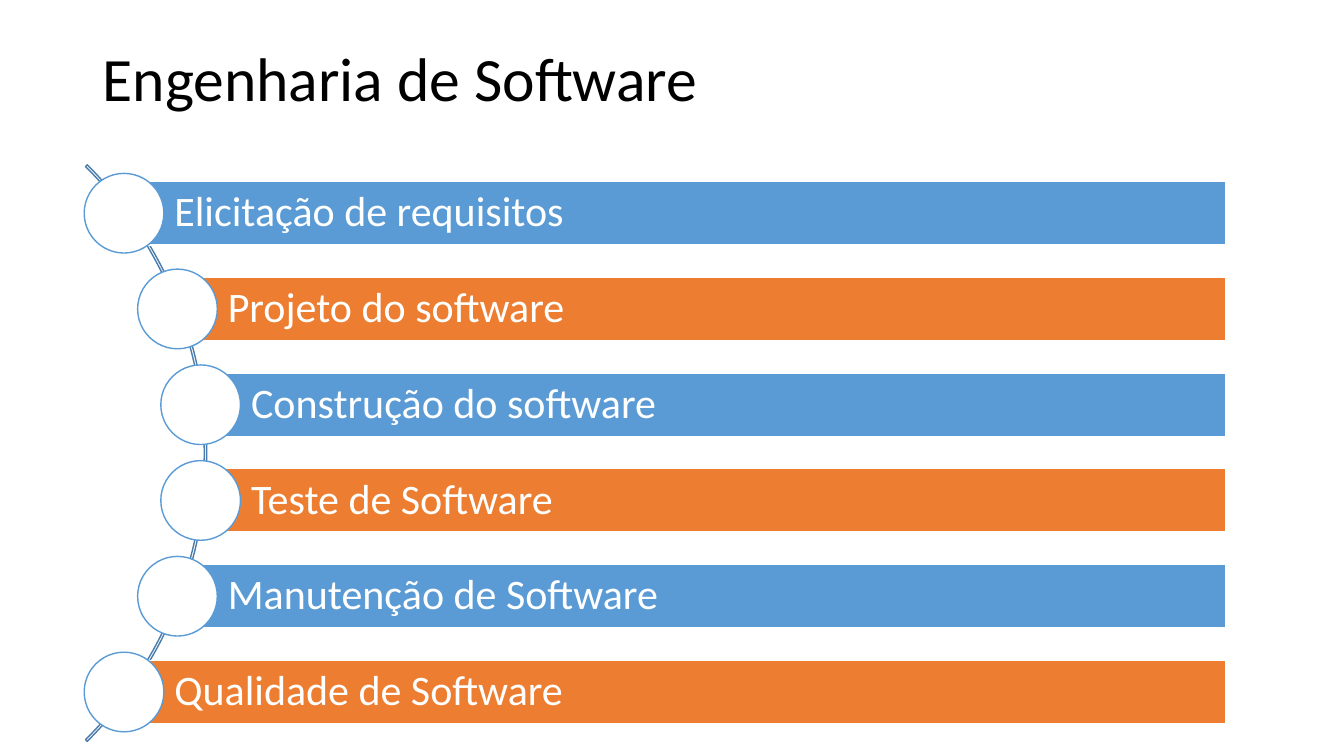
from dataclasses import dataclass

from pptx import Presentation
from pptx.dml.color import RGBColor as Rgb
from pptx.enum.shapes import MSO_SHAPE as Kind
from pptx.enum.text import MSO_ANCHOR as Anchor, PP_ALIGN as Align
from pptx.shapes.autoshape import Shape
from pptx.slide import Slide
from pptx.util import Inches, Pt

COLORS = {
    "black": "000000",
    "white": "FFFFFF",
    "blue": "5B9BD5",
    "orange": "ED7D31",
    "arc": "497CAB",
}
FONT = "Calibri"
TOP, STEP = 1.8, 0.95
RIGHT, HEIGHT = 12.16, 0.63
DOT = 0.79


@dataclass
class Step:
    label: str
    left: float
    fill: str


STEPS = [
    Step("Elicitação de requisitos", 1.23, "blue"),
    Step("Projeto do software", 1.76, "orange"),
    Step("Construção do software", 1.99, "blue"),
    Step("Teste de Software", 1.99, "orange"),
    Step("Manutenção de Software", 1.76, "blue"),
    Step("Qualidade de Software", 1.23, "orange"),
]


def color(name: str) -> Rgb:
    return Rgb.from_string(COLORS[name])


def add_form(slide: Slide, kind: Kind, left: float, top: float, width: float,
             height: float, fill: str | None, line: str) -> Shape:
    form = slide.shapes.add_shape(
        kind, Inches(left), Inches(top), Inches(width), Inches(height))
    form.shadow.inherit = False
    if fill:
        form.fill.solid()
        form.fill.fore_color.rgb = color(fill)
    else:
        form.fill.background()
    form.line.color.rgb = color(line)
    form.line.width = Pt(1)
    return form


def set_text(form: Shape, text: str, size: int, ink: str,
             left: float, inset: float) -> None:
    frame = form.text_frame
    frame.text = text
    frame.word_wrap = True
    frame.vertical_anchor = Anchor.MIDDLE
    frame.margin_left = Inches(left)
    frame.margin_top = frame.margin_right = frame.margin_bottom = Inches(inset)
    line = frame.paragraphs[0]
    line.alignment = Align.LEFT
    line.line_spacing = 0.9
    font = line.runs[0].font
    font.name = FONT
    font.size = Pt(size)
    font.color.rgb = color(ink)


def add_title(slide: Slide, text: str) -> None:
    box = slide.shapes.add_textbox(
        Inches(0.92), Inches(0.4), Inches(11.5), Inches(0.81))
    set_text(box, text, 44, "black", 0.1, 0.05)


def add_arc(slide: Slide) -> None:
    arc = add_form(slide, Kind.BLOCK_ARC, -6.04, 0.45, 8.09, 8.09, None, "arc")
    for index, value in enumerate((189, 27, 0.003)):
        arc.adjustments[index] = value


def add_step(slide: Slide, step: Step, top: float) -> None:
    bar = add_form(slide, Kind.RECTANGLE, step.left, top,
                   RIGHT - step.left, HEIGHT, step.fill, "white")
    set_text(bar, step.label, 30, "white", 0.5, 0.08)
    add_form(slide, Kind.OVAL, step.left - DOT / 2, top + (HEIGHT - DOT) / 2,
             DOT, DOT, "white", "blue")


def main() -> None:
    deck = Presentation()
    deck.slide_width = Inches(13.33)
    deck.slide_height = Inches(7.5)
    slide = deck.slides.add_slide(deck.slide_layouts[6])
    add_title(slide, "Engenharia de Software")
    add_arc(slide)
    for index, step in enumerate(STEPS):
        add_step(slide, step, TOP + index * STEP)
    deck.save("out.pptx")


if __name__ == "__main__":
    main()
